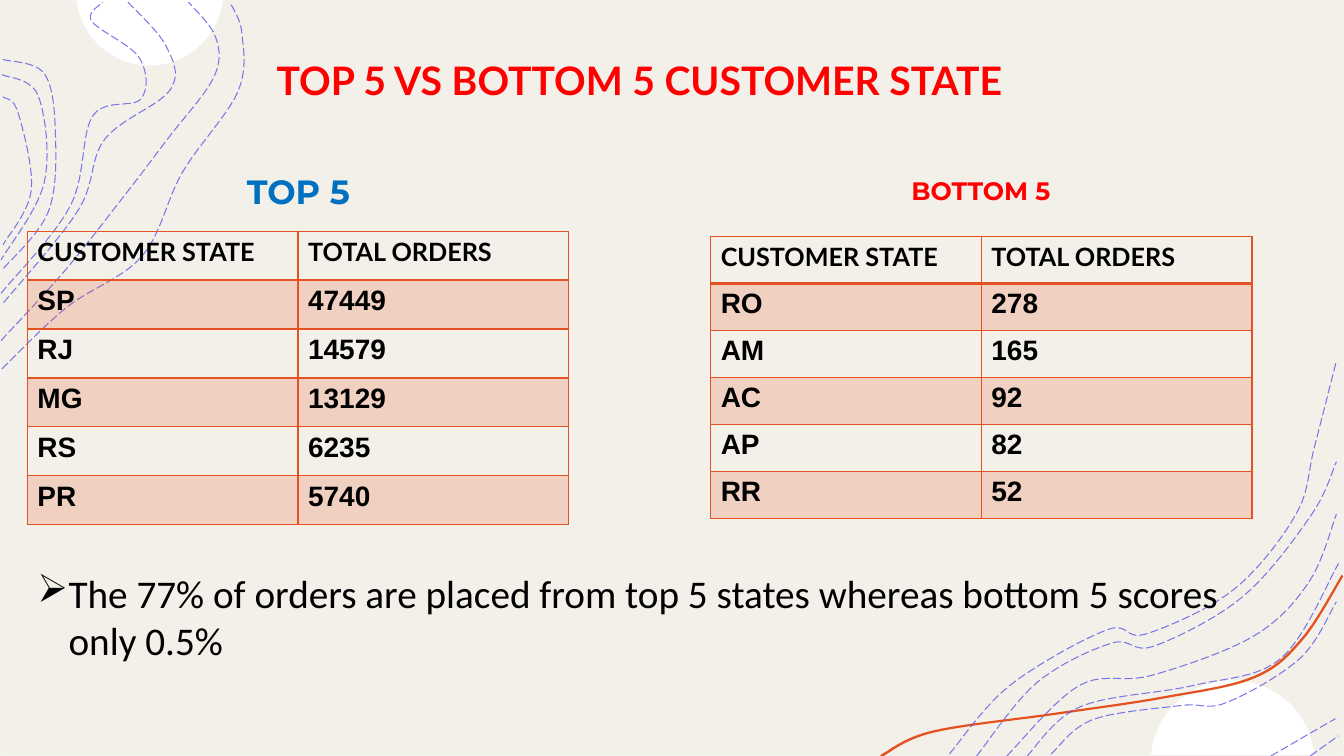
from dataclasses import dataclass
from math import asin, cos, pi, sin

from lxml import etree
from pptx import Presentation
from pptx.dml.color import RGBColor
from pptx.enum.dml import MSO_LINE
from pptx.enum.shapes import MSO_SHAPE
from pptx.enum.text import MSO_ANCHOR, MSO_AUTO_SIZE, PP_ALIGN
from pptx.oxml.ns import qn
from pptx.util import Cm, Pt

DASH = MSO_LINE.LONG_DASH
RECT = MSO_SHAPE.RECTANGLE
MIDDLE, TOP = MSO_ANCHOR.MIDDLE, MSO_ANCHOR.TOP
GROW, FIXED = MSO_AUTO_SIZE.SHAPE_TO_FIT_TEXT, MSO_AUTO_SIZE.NONE
CENTER, LEFT = PP_ALIGN.CENTER, PP_ALIGN.LEFT
UNIT = Cm(0.0254)
STEPS = 10

Point = tuple[float, float]


@dataclass(frozen=True)
class Theme:
    paper: str = "F3F0E9"
    frame: str = "F2F2F2"
    white: str = "FFFFFF"
    black: str = "000000"
    red: str = "FF0000"
    blue: str = "0070C0"
    orange: str = "E45221"
    violet: str = "4D4EE6"
    large: int = 28
    medium: int = 24
    body: int = 20
    small: int = 18


@dataclass(frozen=True)
class Font:
    name: str
    size: int
    color: str
    bold: bool = True


@dataclass(frozen=True)
class Label:
    text: str
    box: tuple[float, float, float, float]
    font: Font
    align: PP_ALIGN = CENTER
    anchor: MSO_ANCHOR = TOP
    fit: MSO_AUTO_SIZE = GROW
    bullet: str = ""


@dataclass(frozen=True)
class Grid:
    left: float
    top: float
    height: float
    rows: tuple[tuple[str, str], ...]


@dataclass(frozen=True)
class Cap:
    center: float
    half: float
    base: float
    rise: float
    sign: int


THEME = Theme()
HEAD = Font("Lato", THEME.small, THEME.black)
BODY = Font("Arial", THEME.body, THEME.black)
TITLES = ("CUSTOMER STATE", "TOTAL ORDERS")

LABELS = (
    Label("TOP 5 VS BOTTOM 5 CUSTOMER STATE", (0.69, 0.64, 30.84, 2.77),
          Font("Lato", THEME.large, THEME.red), anchor=MIDDLE, fit=FIXED),
    Label("TOP 5", (4.55, 4.17, 5.94, 1.27), Font("Montserrat", THEME.medium, THEME.blue)),
    Label("BOTTOM 5", (22.23, 4.29, 4.98, 1.02), Font("Montserrat", THEME.small, THEME.red)),
    Label("The 77% of orders are placed from top 5 states whereas bottom 5 scores only 0.5%",
          (0.69, 14.22, 32.13, 2.64), Font("Calibri", THEME.large, THEME.black, False),
          align=LEFT, bullet="➢"),
)
GRIDS = (
    Grid(0.69, 5.83, 7.39, (TITLES, ("SP", "47449"), ("RJ", "14579"), ("MG", "13129"),
                            ("RS", "6235"), ("PR", "5740"))),
    Grid(17.91, 5.96, 7.1, (TITLES, ("RO", "278"), ("AM", "165"), ("AC", "92"),
                            ("AP", "82"), ("RR", "52"))),
)
CAPS = (Cap(148.5, 72.5, 0, 65, 1), Cap(1223, 81, 749, 74, -1))
RIBBON = ((874, 750), (925, 726), (1048, 708), (1154, 692), (1244, 672), (1292, 634), (1332, 571))
WAVES = (
    (
        ((2, 366), (66, 305), (141, 254), (181, 171), (236, 91), (240, 33), (228, 2)),
        ((1, 338), (64, 269), (122, 196), (167, 137), (212, 77), (214, 37), (187, 2)),
        ((127, 2), (165, 46), (169, 89), (104, 138), (78, 208), (3, 301)),
        ((1, 291), (70, 204), (92, 115), (140, 98), (138, 57), (91, 21), (102, 2)),
        ((3, 59), (44, 73), (55, 132), (48, 210), (2, 268)),
        ((2, 74), (38, 95), (44, 181), (1, 258)),
        ((3, 96), (18, 112), (31, 189), (3, 243)),
    ),
    (
        ((942, 748), (1002, 680), (1098, 625), (1137, 629), (1224, 585), (1286, 510),
         (1304, 444), (1326, 358)),
        ((969, 750), (1029, 677), (1103, 638), (1145, 641), (1233, 592), (1301, 511), (1326, 458)),
        ((1300, 750), (1328, 730)),
        ((1261, 750), (1325, 713)),
        ((1043, 748), (1084, 714), (1171, 700), (1217, 697), (1290, 653), (1326, 597)),
        ((1019, 750), (1072, 701), (1184, 680), (1271, 653), (1328, 559)),
        ((999, 750), (1071, 680), (1143, 670), (1244, 631), (1299, 577), (1326, 510)),
    ),
)


def smooth(knots: tuple[Point, ...]) -> list[Point]:
    full = (knots[0], *knots, knots[-1])
    dots = [knots[0]]
    for quad in zip(full, full[1:], full[2:], full[3:]):
        for step in range(1, STEPS + 1):
            t = step / STEPS
            dots.append(tuple(
                q + t * (r - p) / 2 + t ** 2 * (2 * p - 5 * q + 4 * r - s) / 2
                + t ** 3 * (3 * q - p - 3 * r + s) / 2
                for p, q, r, s in zip(*quad)))
    return dots


def arc(cap: Cap) -> list[Point]:
    reach = (cap.half ** 2 + cap.rise ** 2) / (2 * cap.rise)
    drop = cap.rise - reach
    start = -asin(drop / reach)
    count = 4 * STEPS
    turns = [start + (pi - 2 * start) * i / count for i in range(count + 1)]
    return [(cap.center + reach * cos(turn), cap.base + cap.sign * (drop + reach * sin(turn)))
            for turn in turns]


def band(knots: tuple[Point, ...]) -> list[Point]:
    dots = smooth(knots)
    return [(x - 0.7, y - 1) for x, y in dots] + [(x + 0.7, y + 1) for x, y in reversed(dots)]


def outline(shapes, dots: list[Point], closed: bool):
    spots = [(x * UNIT, y * UNIT) for x, y in dots]
    pen = shapes.build_freeform(*spots[0])
    pen.add_line_segments(spots[1:], close=closed)
    shape = pen.convert_to_shape()
    shape.shadow.inherit = False
    return shape


def paint(fill, color: str) -> None:
    fill.solid()
    fill.fore_color.rgb = RGBColor.from_string(color)


def fade(node, share: int) -> None:
    tone = next(node.iter(qn("a:srgbClr")))
    etree.SubElement(tone, qn("a:alpha"), val=str(share * 1000))


def patch(shapes, dots: list[Point], color: str) -> None:
    shape = outline(shapes, dots, True)
    paint(shape.fill, color)
    shape.line.fill.background()


def wave(shapes, knots: tuple[Point, ...]) -> None:
    shape = outline(shapes, smooth(knots), False)
    shape.fill.background()
    paint(shape.line.fill, THEME.violet)
    shape.line.width = Pt(0.75)
    shape.line.dash_style = DASH
    fade(shape.element.spPr.find(qn("a:ln")), 75)


def write(para, text: str, font: Font) -> None:
    run = para.add_run()
    run.text = text
    run.font.name, run.font.size, run.font.bold = font.name, Pt(font.size), font.bold
    run.font.color.rgb = RGBColor.from_string(font.color)


def label(shapes, item: Label) -> None:
    frame = shapes.add_textbox(*map(Cm, item.box)).text_frame
    frame.word_wrap = True
    frame.auto_size, frame.vertical_anchor = item.fit, item.anchor
    para = frame.paragraphs[0]
    para.alignment = item.align
    if item.bullet:
        props = para._p.get_or_add_pPr()
        props.set("marL", str(Cm(0.79)))
        props.set("indent", str(Cm(-0.79)))
        etree.SubElement(props, qn("a:buChar"), char=item.bullet)
    write(para, item.text, item.font)


def border(cell, head: bool) -> None:
    props = cell._tc.get_or_add_tcPr()
    for spot, side in enumerate(("lnL", "lnR", "lnT", "lnB")):
        width = Pt(2 if head and side == "lnB" else 1)
        line = etree.Element(qn(f"a:{side}"), w=str(width))
        solid = etree.SubElement(line, qn("a:solidFill"))
        etree.SubElement(solid, qn("a:srgbClr"), val=THEME.orange)
        props.insert(spot, line)


def table(shapes, grid: Grid) -> None:
    count = len(grid.rows)
    cells = shapes.add_table(count, 2, Cm(grid.left), Cm(grid.top), Cm(13.64), Cm(grid.height)).table
    for y, texts in enumerate(grid.rows):
        cells.rows[y].height = Cm(grid.height / count)
        for x, text in enumerate(texts):
            cell = cells.cell(y, x)
            if y % 2:
                paint(cell.fill, THEME.orange)
                fade(cell._tc.tcPr, 20)
            else:
                cell.fill.background()
            border(cell, y == 0)
            write(cell.text_frame.paragraphs[0], text, BODY if y else HEAD)


def main() -> None:
    deck = Presentation()
    deck.slide_width, deck.slide_height = Cm(33.87), Cm(19.05)
    shapes = deck.slides.add_slide(deck.slide_layouts[6]).shapes
    back = shapes.add_shape(RECT, 0, 0, deck.slide_width, deck.slide_height)
    back.shadow.inherit = False
    paint(back.fill, THEME.paper)
    paint(back.line.fill, THEME.frame)
    back.line.width = Pt(1)
    for cap in CAPS:
        patch(shapes, arc(cap), THEME.white)
    patch(shapes, band(RIBBON), THEME.orange)
    for bunch in WAVES:
        group = shapes.add_group_shape()
        for knots in bunch:
            wave(group.shapes, knots)
    for grid in GRIDS:
        table(shapes, grid)
    for item in LABELS:
        label(shapes, item)
    deck.save("out.pptx")


if __name__ == "__main__":
    main()
